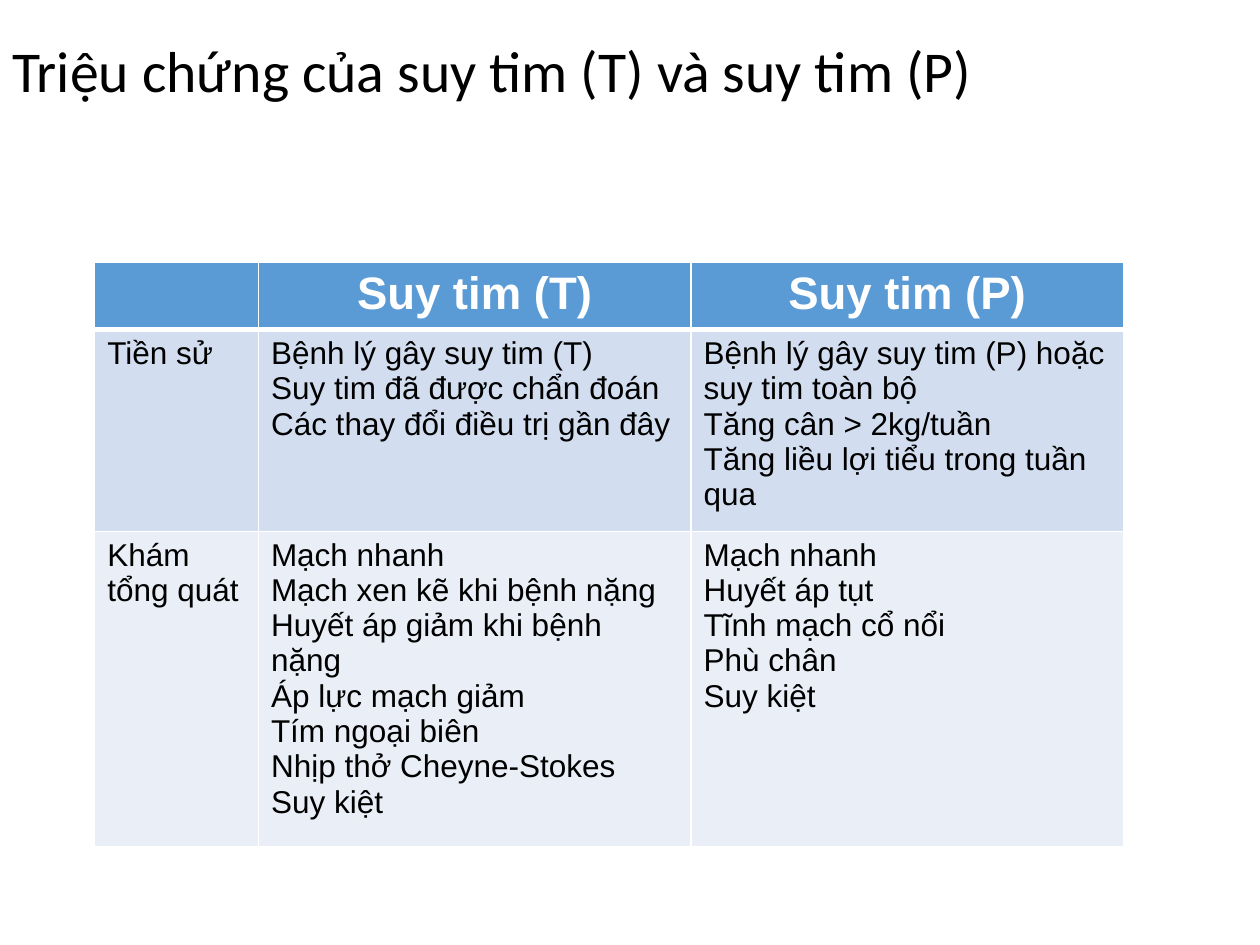
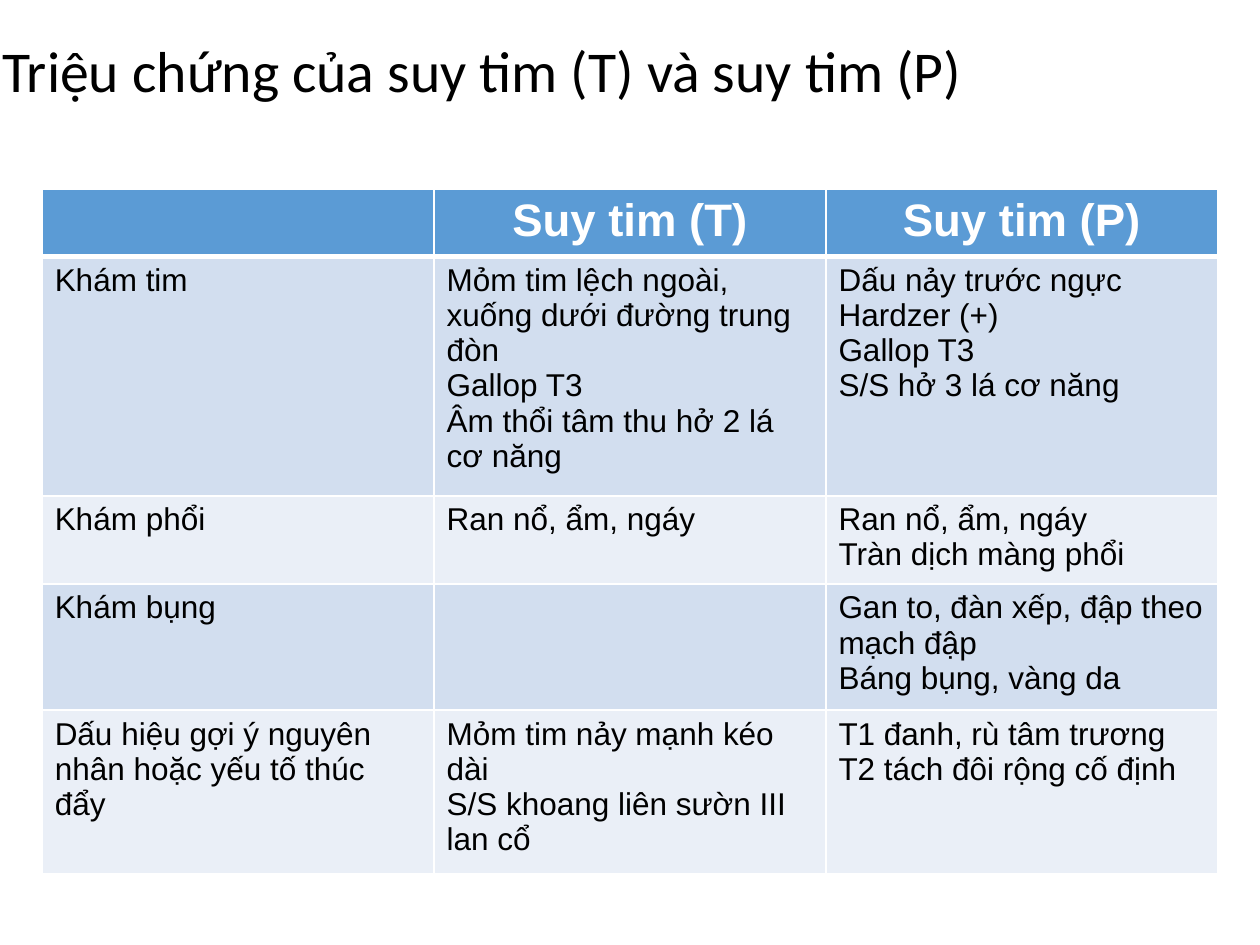
"""Build two slides comparing the symptoms of left and right heart failure."""
import dataclasses

import lxml.etree
import pptx
import pptx.dml.color
import pptx.enum.text
import pptx.oxml.ns
import pptx.util

Cm = pptx.util.Cm
Pt = pptx.util.Pt


@dataclasses.dataclass(frozen=True)
class Theme:
    title_font: str = "Calibri"
    table_font: str = "Arial"
    title_size: int = 33
    header_size: int = 26
    body_size: int = 18
    ink: str = "000000"
    white: str = "FFFFFF"
    header_fill: str = "5B9BD5"
    band_fills: tuple = ("D2DEEF", "EAEFF7")
    thin_rule: int = 1
    thick_rule: int = 3


class SlideBuilder:
    def __init__(self, deck, theme):
        self.deck = deck
        self.theme = theme
        self.page = None

    def new_page(self):
        self.page = self.deck.slides.add_slide(self.deck.slide_layouts[6])

    def span(self, para, text, font, size, color, bold=False):
        run = para.add_run()
        run.text = text
        run.font.name = font
        run.font.size = Pt(size)
        run.font.bold = bold
        run.font.color.rgb = pptx.dml.color.RGBColor.from_string(color)

    def title(self, text, left, width):
        box = self.page.shapes.add_textbox(Cm(left), Cm(0.64), Cm(width), Cm(1.7))
        frame = box.text_frame
        frame.word_wrap = True
        frame.vertical_anchor = pptx.enum.text.MSO_ANCHOR.MIDDLE
        para = frame.paragraphs[0]
        para.line_spacing = 0.9
        self.span(para, text, self.theme.title_font, self.theme.title_size, self.theme.ink)

    def borders(self, cell, top, bottom):
        properties = cell._tc.get_or_add_tcPr()
        thin = self.theme.thin_rule
        sides = {"lnL": thin, "lnR": thin, "lnT": top, "lnB": bottom}
        for position, (side, width) in enumerate(sides.items()):
            line = lxml.etree.Element(pptx.oxml.ns.qn(f"a:{side}"), w=str(int(Pt(width))))
            fill = lxml.etree.SubElement(line, pptx.oxml.ns.qn("a:solidFill"))
            lxml.etree.SubElement(fill, pptx.oxml.ns.qn("a:srgbClr"), val=self.theme.white)
            properties.insert(position, line)

    def cell(self, cell, lines, row):
        theme = self.theme
        is_header = row == 0
        fill = theme.header_fill if is_header else theme.band_fills[(row - 1) % 2]
        cell.fill.solid()
        cell.fill.fore_color.rgb = pptx.dml.color.RGBColor.from_string(fill)
        self.borders(
            cell,
            top=theme.thick_rule if row == 1 else theme.thin_rule,
            bottom=theme.thick_rule if is_header else theme.thin_rule,
        )
        for index, text in enumerate(lines):
            frame = cell.text_frame
            para = frame.add_paragraph() if index else frame.paragraphs[0]
            if is_header:
                para.alignment = pptx.enum.text.PP_ALIGN.CENTER
                self.span(para, text, theme.table_font, theme.header_size, theme.white, True)
            else:
                self.span(para, text, theme.table_font, theme.body_size, theme.ink)

    def table(self, left, top, widths, heights, rows):
        table = self.page.shapes.add_table(
            len(rows), len(widths), Cm(left), Cm(top), Cm(sum(widths)), Cm(sum(heights))
        ).table
        for column, width in zip(table.columns, widths):
            column.width = Cm(width)
        for table_row, height in zip(table.rows, heights):
            table_row.height = Cm(height)
        for row, contents in enumerate(rows):
            for column, lines in enumerate(contents):
                self.cell(table.cell(row, column), lines, row)


TITLE = "Triệu chứng của suy tim (T) và suy tim (P)"
HEADER = ([], ["Suy tim (T)"], ["Suy tim (P)"])
HEADER_HEIGHT = 1.35

GENERAL_SIGNS = [
    HEADER,
    (
        ["Tiền sử"],
        ["Bệnh lý gây suy tim (T)", "Suy tim đã được chẩn đoán", "Các thay đổi điều trị gần đây"],
        [
            "Bệnh lý gây suy tim (P) hoặc suy tim toàn bộ",
            "Tăng cân > 2kg/tuần",
            "Tăng liều lợi tiểu trong tuần qua",
        ],
    ),
    (
        ["Khám tổng quát"],
        [
            "Mạch nhanh",
            "Mạch xen kẽ khi bệnh nặng",
            "Huyết áp giảm khi bệnh nặng",
            "Áp lực mạch giảm",
            "Tím ngoại biên",
            "Nhịp thở Cheyne-Stokes",
            "Suy kiệt",
        ],
        ["Mạch nhanh", "Huyết áp tụt", "Tĩnh mạch cổ nổi", "Phù chân", "Suy kiệt"],
    ),
]

ORGAN_SIGNS = [
    HEADER,
    (
        ["Khám tim"],
        [
            "Mỏm tim lệch ngoài, xuống dưới đường trung đòn",
            "Gallop T3",
            "Âm thổi tâm thu hở 2 lá cơ năng",
        ],
        ["Dấu nảy trước ngực", "Hardzer (+)", "Gallop T3", "S/S hở 3 lá cơ năng"],
    ),
    (["Khám phổi"], ["Ran nổ, ẩm, ngáy"], ["Ran nổ, ẩm, ngáy", "Tràn dịch màng phổi"]),
    (["Khám bụng"], [], ["Gan to, đàn xếp, đập theo mạch đập", "Báng bụng, vàng da"]),
    (
        ["Dấu hiệu gợi ý nguyên nhân hoặc yếu tố thúc đẩy"],
        ["Mỏm tim nảy mạnh kéo dài", "S/S khoang liên sườn III lan cổ"],
        ["T1 đanh, rù tâm trương", "T2 tách đôi rộng cố định"],
    ),
]


def main():
    deck = pptx.Presentation()
    deck.slide_width = Cm(25.4)
    deck.slide_height = Cm(19.05)
    builder = SlideBuilder(deck, Theme())

    builder.new_page()
    builder.title(TITLE, left=0, width=27.1)
    builder.table(1.91, 5.29, [3.3, 8.72, 8.72], [HEADER_HEIGHT, 4.06, 6.35], GENERAL_SIGNS)

    builder.new_page()
    builder.title(TITLE, left=-0.2, width=27.74)
    builder.table(0.85, 3.81, [7.9] * 3, [HEADER_HEIGHT, 4.83, 1.78, 2.54, 3.3], ORGAN_SIGNS)

    deck.save("out.pptx")


if __name__ == "__main__":
    main()
